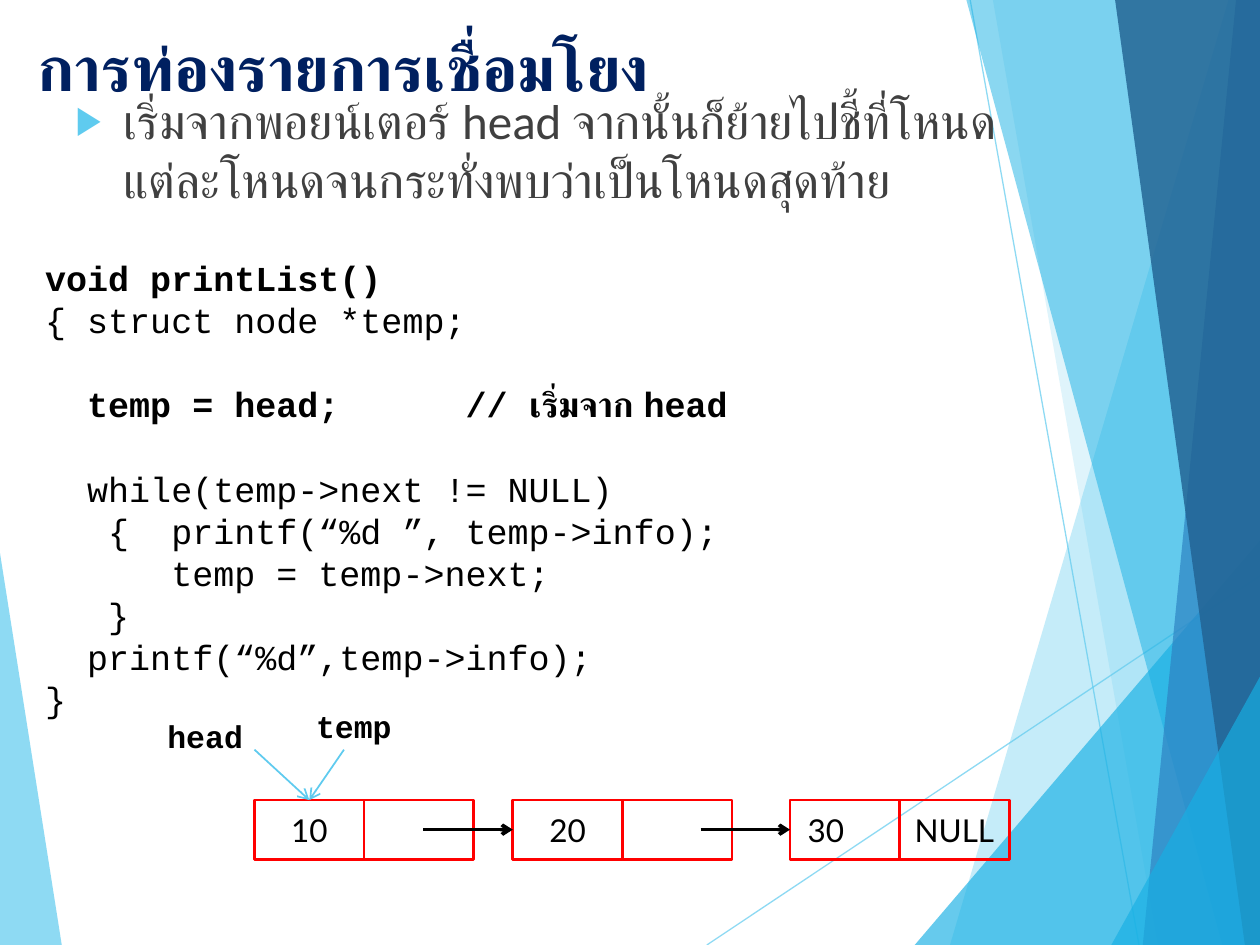
from lxml import etree
from pptx import Presentation
from pptx import util as u
from pptx.dml.color import RGBColor
from pptx.enum import shapes as kinds, text as t
from pptx.oxml.ns import qn

WIDTH, HEIGHT = 10, 7.5
SKY, CYAN, RED, BLACK = "5FCBEF", "17B0E4", "FF0000", "000000"
CELL_W, CELL_H = 0.87, 0.47

# Backdrop facets: colour, opacity in percent, corners
FACETS = [
    (SKY, 70, [(0, 4.39), (0.49, 7.5), (0, 7.5)]),
    (SKY, 36, [(9.75, 0), (7.54, 7.5), (10, 7.5), (10, 0)]),
    (SKY, 20, [(7.88, 0), (9.19, 7.5), (10, 7.5), (10, 0)]),
    (CYAN, 66, [(7.26, 7.5), (10, 4.29), (10, 7.5)]),
    (CYAN, 50, [(7.67, 0), (9.7, 7.5), (10, 7.5), (10, 0)]),
    ("2E83C3", 70, [(9.81, 0), (9.07, 7.5), (10, 7.5), (10, 0)]),
    ("226292", 82, [(8.85, 0), (9.88, 7.5), (10, 7.5), (10, 0)]),
    (CYAN, 66, [(8.82, 7.5), (10, 5.37), (10, 7.5)]),
]
RAYS = [((5.61, 7.5), (10, 4.57)), ((7.7, 0), (9.04, 7.5))]

# Code lines: text, bold, blank line above
CODE = [
    ("void printList()", True, False),
    ("{ struct node *temp;", False, False),
    ("  temp = head;      // เริ่มจาก head", True, True),
    ("  while(temp->next != NULL)", False, True),
    ("   {  printf(“%d ”, temp->info);", False, False),
    ("      temp = temp->next;", False, False),
    ("   }", False, False),
    ("  printf(“%d”,temp->info);", False, False),
    ("}", False, False),
]


def rgb(value):
    return RGBColor.from_string(value)


def inches(*values):
    return [u.Inches(v) for v in values]


def set_font(paragraph, name, size, colour, bold=False):
    font = paragraph.font
    font.name, font.size, font.bold = name, u.Pt(size), bold
    font.color.rgb = rgb(colour)


def set_opacity(shape, percent):
    colour = next(shape._element.spPr.iter(qn("a:srgbClr")))
    etree.SubElement(colour, qn("a:alpha"), val=str(percent * 1000))


def add_line(slide, start, end, colour, width, arrow=False):
    line = slide.shapes.add_connector(
        kinds.MSO_CONNECTOR.STRAIGHT, *inches(*start, *end))
    line.line.color.rgb = rgb(colour)
    line.line.width = u.Pt(width)
    if arrow:
        etree.SubElement(line.line._get_or_add_ln(), qn("a:tailEnd"), type="arrow")
    etree.SubElement(line._element.spPr, qn("a:effectLst"))
    return line


def add_backdrop(slide):
    for start, end in RAYS:
        set_opacity(add_line(slide, start, end, SKY, 0.75), 70)
    for colour, opacity, corners in FACETS:
        first, *rest = [tuple(inches(*corner)) for corner in corners]
        builder = slide.shapes.build_freeform(*first)
        builder.add_line_segments(rest, close=True)
        facet = builder.convert_to_shape()
        facet.shadow.inherit = False
        facet.fill.solid()
        facet.fill.fore_color.rgb = rgb(colour)
        facet.line.fill.background()
        set_opacity(facet, opacity)


def fill_placeholder(slide, holder, box, wording):
    holder.left, holder.top, holder.width, holder.height = inches(*box)
    frame = holder.text_frame
    frame.text = wording
    frame.auto_size = t.MSO_AUTO_SIZE.NONE
    frame.vertical_anchor = t.MSO_ANCHOR.TOP
    slide.shapes._spTree.append(holder._element)  # in front of the backdrop
    paragraph = frame.paragraphs[0]
    paragraph.alignment = t.PP_ALIGN.LEFT
    return paragraph


def add_heading(slide, box):
    heading = fill_placeholder(slide, slide.shapes.title, box, "การท่องรายการเชื่อมโยง")
    set_font(heading, "Arial", 36, "002060", bold=True)


def add_explanation(slide, box):
    point = fill_placeholder(
        slide, slide.placeholders[1], box,
        "เริ่มจากพอยน์เตอร์ head จากนั้นก็ย้ายไปชี้ที่โหนดแต่ละโหนดจนกระทั่งพบว่าเป็นโหนดสุดท้าย")
    set_font(point, "Calibri", 28, "404040")
    point.space_before = u.Pt(10)
    props = point._p.get_or_add_pPr()
    props.set("marL", str(u.Inches(0.38)))
    props.set("indent", str(-u.Inches(0.38)))
    bullet_colour = etree.SubElement(props, qn("a:buClr"))
    etree.SubElement(bullet_colour, qn("a:srgbClr"), val=SKY)
    etree.SubElement(props, qn("a:buSzPct"), val="80000")
    etree.SubElement(props, qn("a:buFont"), typeface="Arial")
    etree.SubElement(props, qn("a:buChar"), char="▶")
    # The bullet settings belong before the default run properties
    for defaults in props.findall(qn("a:defRPr")):
        props.append(defaults)


def add_code(slide, box):
    frame = slide.shapes.add_textbox(*inches(*box)).text_frame
    frame.word_wrap = True
    for i, (wording, bold, gap) in enumerate(CODE):
        line = frame.add_paragraph() if i else frame.paragraphs[0]
        line.text = wording
        line.line_spacing = u.Pt(24)
        line.space_before = u.Pt(24 if gap else 0)
        set_font(line, "Courier New", 20, BLACK, bold)


def add_cell(slide, left, top, wording="", align=t.PP_ALIGN.CENTER):
    cell = slide.shapes.add_shape(
        kinds.MSO_SHAPE.RECTANGLE, *inches(left, top, CELL_W, CELL_H))
    cell.shadow.inherit = False
    cell.fill.background()
    cell.line.color.rgb = rgb(RED)
    cell.line.width = u.Pt(1.5)
    if wording:
        frame = cell.text_frame
        frame.text = wording
        frame.vertical_anchor = t.MSO_ANCHOR.MIDDLE
        if align == t.PP_ALIGN.LEFT:
            frame.margin_left = u.Inches(0.14)
        frame.paragraphs[0].alignment = align
        set_font(frame.paragraphs[0], "Lato", 18, BLACK)


def add_pointer(slide, name, box, start, target):
    frame = slide.shapes.add_textbox(*inches(*box)).text_frame
    frame.word_wrap = False
    frame.text = name
    set_font(frame.paragraphs[0], "Courier New", 18, BLACK, bold=True)
    add_line(slide, start, target, SKY, 1, arrow=True)


def add_linked_list(slide, top):
    nodes = [(2.02, "10", ""), (4.07, "20", ""), (6.27, "30", "NULL")]
    for left, info, link in nodes:
        align = t.PP_ALIGN.LEFT if link else t.PP_ALIGN.CENTER
        add_cell(slide, left, top, info, align)
        add_cell(slide, left + CELL_W, top, link)
    middle = top + CELL_H / 2
    for left, _, _ in nodes[1:]:
        add_line(slide, (left - 0.71, middle), (left, middle), BLACK, 2, arrow=True)
    first_node = (nodes[0][0] + CELL_W / 2, top)
    add_pointer(slide, "head", (1.23, top - 0.71, 0.96, 0.4), (2.02, top - 0.4), first_node)
    add_pointer(slide, "temp", (2.41, top - 0.79, 0.81, 0.4), (2.73, top - 0.4), first_node)


def main():
    deck = Presentation()
    deck.slide_width, deck.slide_height = inches(WIDTH, HEIGHT)
    slide = deck.slides.add_slide(deck.slide_layouts[1])
    add_backdrop(slide)
    add_heading(slide, (0.2, 0.18, 6.94, 1.44))
    add_explanation(slide, (0.5, 0.67, 8.2, 3.62))
    add_code(slide, (0.26, 1.99, 5.95, 3.94))
    add_linked_list(slide, 6.35)
    deck.save("out.pptx")


if __name__ == "__main__":
    main()
